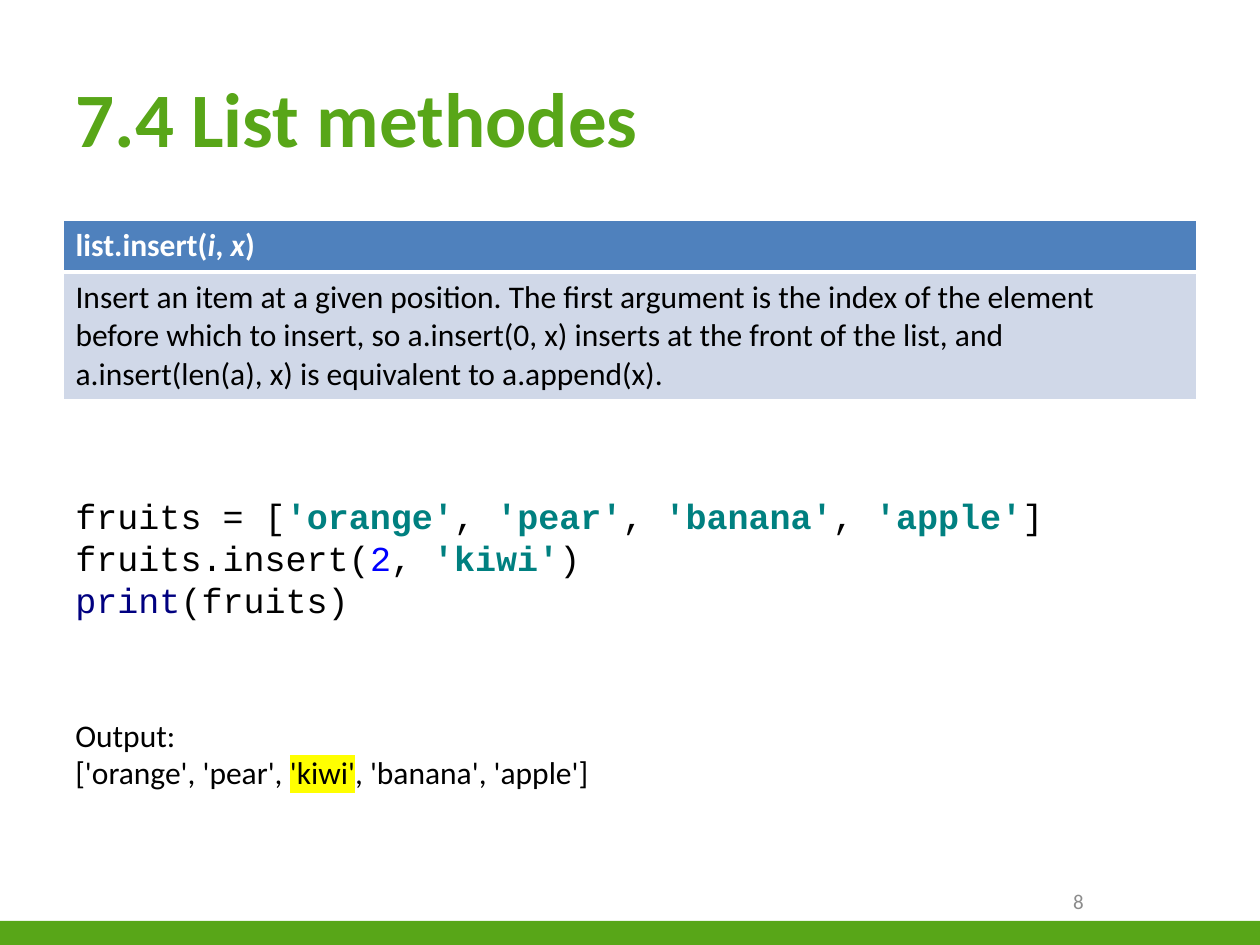
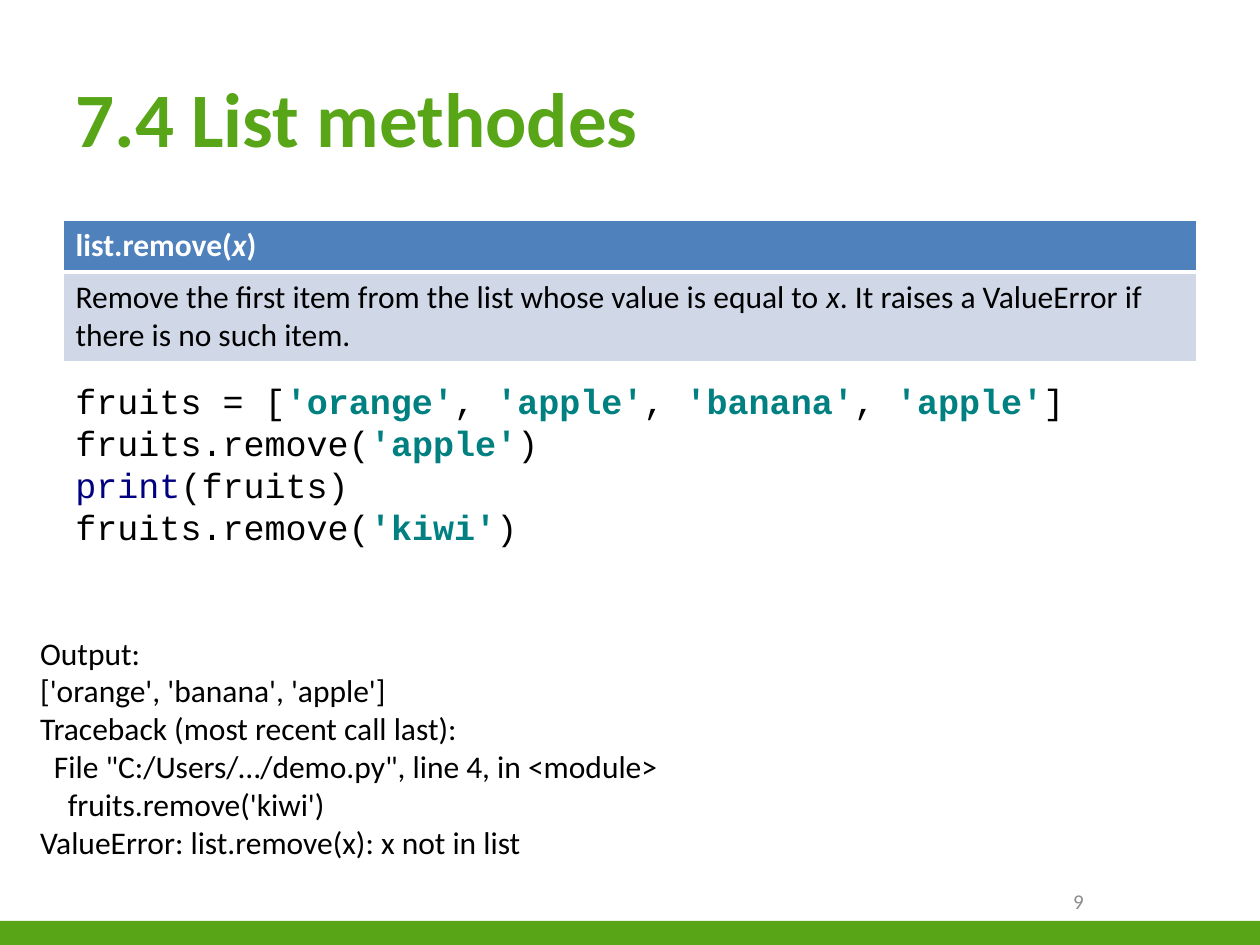
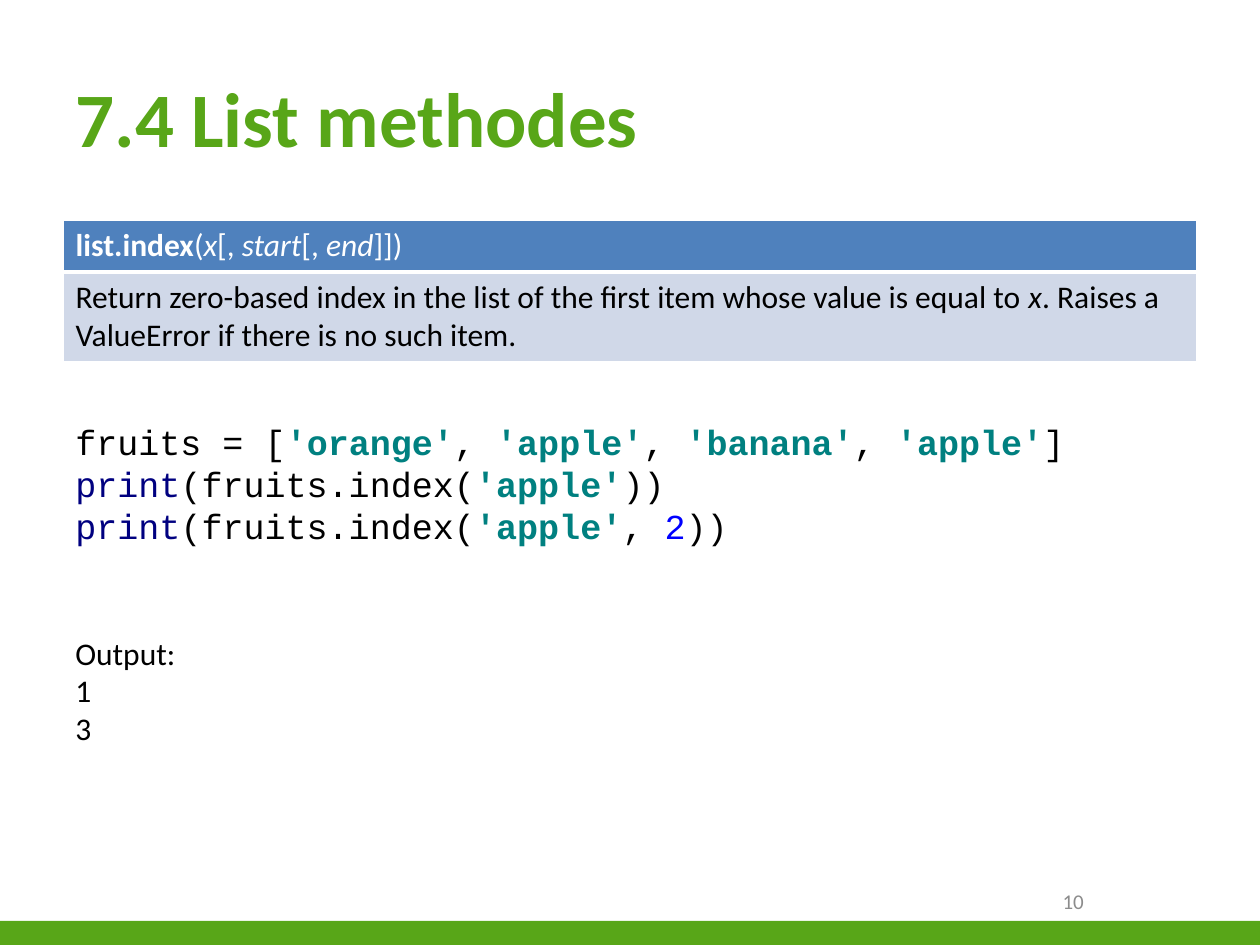
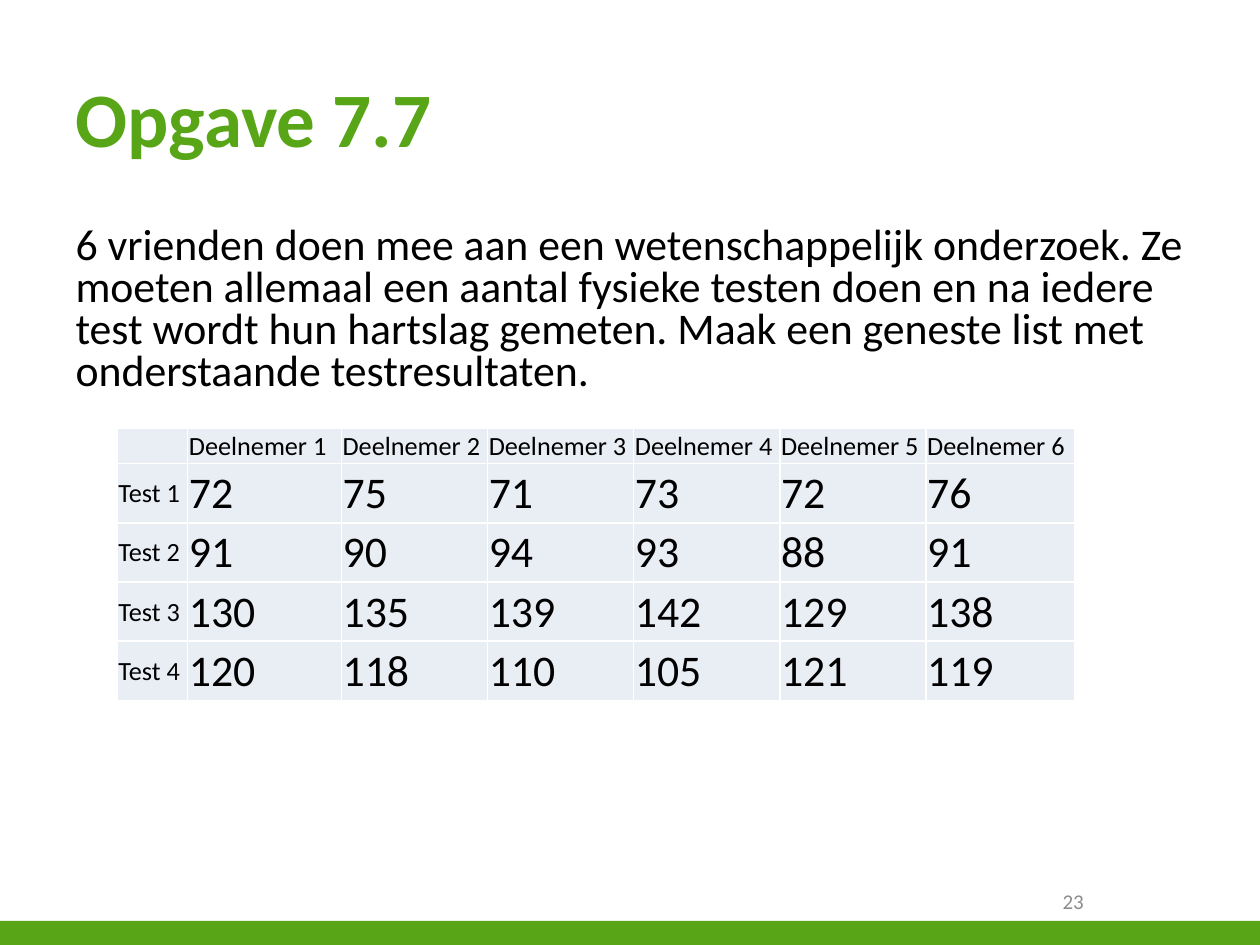
from lxml import etree
from pptx import Presentation
from pptx.dml.color import RGBColor
from pptx.enum.shapes import MSO_SHAPE
from pptx.enum.text import MSO_ANCHOR, MSO_AUTO_SIZE, PP_ALIGN
from pptx.oxml.ns import qn
from pptx.util import Pt

PX = 9144  # 100 px to the inch
BLACK, WHITE, GREEN, GREY = "000000", "FFFFFF", "58A618", "8C8C8C"
HEADING_FILL, DESCRIPTION_FILL, RESULT_FILL = "4F81BD", "D0D8E8", "E9EDF4"
STRING, NUMBER, BUILTIN, HIGHLIGHT = "008080", "0000FF", "000080", "FFFF00"
color = RGBColor.from_string


def write_runs(paragraph, marked, size, hex_color=BLACK, font="Calibri", bold=False):
    """Add text to a paragraph and return the runs set between bars."""
    emphasised = []
    for line_no, line in enumerate(marked.split("\n")):
        if line_no:
            paragraph.add_line_break()
        for i, piece in enumerate(line.split("|")):
            if not piece:
                continue
            run = paragraph.add_run()
            run.text = piece
            run.font.size = Pt(size)
            run.font.name = font
            run.font.bold = bold
            run.font.color.rgb = color(hex_color)
            if i % 2:
                emphasised.append(run)
    return emphasised


def style_cell(cell, fill, bottom=1):
    """Give a cell white borders and a solid fill."""
    tc_pr = cell._tc.get_or_add_tcPr()
    for side, width in (("L", 1), ("R", 1), ("T", 1), ("B", bottom)):
        border = etree.SubElement(tc_pr, qn(f"a:ln{side}"), w=str(Pt(width)))
        solid = etree.SubElement(border, qn("a:solidFill"))
        etree.SubElement(solid, qn("a:srgbClr"), val=WHITE)
    cell.fill.solid()
    cell.fill.fore_color.rgb = color(fill)


prs = Presentation()
prs.slide_width, prs.slide_height = 1000 * PX, 750 * PX
title_only, title_and_content = prs.slide_layouts[5], prs.slide_layouts[1]

# Content of the list method slides; indents are in px per output line
methods = [
    dict(
        name="list.insert", arguments="(|i|, |x|)", bold_arguments=True,
        description="Insert an item at a given position. The first argument is the index of "
        "the element before which to insert, so a.insert(0, x) inserts at the front of "
        "the list, and a.insert(len(a), x) is equivalent to a.append(x).",
        description_height=100,
        code="fruits = [|'orange'|, |'pear'|, |'banana'|, |'apple'|]\n"
        "fruits.insert(|2|, |'kiwi'|)\n|print|(fruits)",
        code_box=(50, 387, 802, 111),
        output=[("Output:", 0), ("['orange', 'pear', |'kiwi'|, 'banana', 'apple']", 0)],
        output_box=(50, 563, 500, 71),
    ),
    dict(
        name="list.remove", arguments="(|x|)", bold_arguments=True,
        description="Remove the first item from the list whose value is equal to |x|. "
        "It raises a ValueError if there is no such item.",
        description_height=70,
        code="fruits = [|'orange'|, |'apple'|, |'banana'|, |'apple'|]\n"
        "fruits.remove(|'apple'|)\n|print|(fruits)\nfruits.remove(|'kiwi'|)",
        code_box=(50, 295, 869, 145),
        output=[
            ("Output:", 0),
            ("['orange', 'banana', 'apple']", 0),
            ("Traceback (most recent call last):", 0),
            ('File "C:/Users/…/demo.py", line 4, in <module>', 11),
            ("fruits.remove('kiwi')", 22),
            ("ValueError: list.remove(x): x not in list", 0),
        ],
        output_box=(22, 498, 959, 192),
    ),
    dict(
        name="list.index", arguments="(|x|[, |start|[, |end|]])", bold_arguments=False,
        description="Return zero-based index in the list of the first item whose value is "
        "equal to |x|. Raises a ValueError if there is no such item.",
        description_height=70,
        code="fruits = [|'orange'|, |'apple'|, |'banana'|, |'apple'|]\n"
        "|print|(fruits.index(|'apple'|))\n|print|(fruits.index(|'apple'|, |2|))",
        code_box=(50, 328, 900, 111),
        output=[("Output:", 0), ("1", 0), ("3", 0)],
        output_box=(50, 498, 844, 101),
    ),
]

for method in methods:
    slide = prs.slides.add_slide(title_only)

    # Signature and description
    heading_height, description_height = 41, method["description_height"]
    reference = slide.shapes.add_table(
        2, 1, 50 * PX, 175 * PX, 900 * PX, (heading_height + description_height) * PX
    ).table
    reference.rows[0].height = heading_height * PX
    reference.rows[1].height = description_height * PX
    heading, description = reference.cell(0, 0), reference.cell(1, 0)
    style_cell(heading, HEADING_FILL, bottom=3)
    style_cell(description, DESCRIPTION_FILL)
    signature = heading.text_frame.paragraphs[0]
    write_runs(signature, method["name"], 18, WHITE, bold=True)
    parameters = write_runs(
        signature, method["arguments"], 18, WHITE, bold=method["bold_arguments"]
    )
    parameters += write_runs(description.text_frame.paragraphs[0], method["description"], 18)
    for run in parameters:
        run.font.italic = True

    # Code with coloured tokens
    code = slide.shapes.add_shape(MSO_SHAPE.RECTANGLE, *(n * PX for n in method["code_box"]))
    code.shadow.inherit = False
    code.fill.solid()
    code.fill.fore_color.rgb = color(WHITE)
    code.line.fill.background()
    code.text_frame.word_wrap = True
    code.text_frame.auto_size = MSO_AUTO_SIZE.SHAPE_TO_FIT_TEXT
    code.text_frame.vertical_anchor = MSO_ANCHOR.MIDDLE
    listing = code.text_frame.paragraphs[0]
    listing.alignment = PP_ALIGN.LEFT
    for token in write_runs(listing, method["code"], 20, font="Courier New"):
        if token.text.startswith("'"):
            token.font.color.rgb = color(STRING)
            token.font.bold = True
        else:
            token.font.color.rgb = color(NUMBER if token.text.isdigit() else BUILTIN)

    # Program output
    output = slide.shapes.add_textbox(*(n * PX for n in method["output_box"])).text_frame
    output.word_wrap = True
    output.auto_size = MSO_AUTO_SIZE.SHAPE_TO_FIT_TEXT
    for i, (line, indent) in enumerate(method["output"]):
        paragraph = output.add_paragraph() if i else output.paragraphs[0]
        if indent:
            paragraph._p.get_or_add_pPr().set("marL", str(indent * PX))
        for run in write_runs(paragraph, line, 18):
            marker = etree.Element(qn("a:highlight"))
            etree.SubElement(marker, qn("a:srgbClr"), val=HIGHLIGHT)
            run.font._element.find(qn("a:latin")).addprevious(marker)

# Exercise text
slide = prs.slides.add_slide(title_and_content)
exercise = slide.placeholders[1]
exercise.left, exercise.top, exercise.width, exercise.height = (
    n * PX for n in (50, 175, 924, 470)
)
exercise.text_frame.auto_size = MSO_AUTO_SIZE.NONE
assignment = exercise.text_frame.paragraphs[0]
write_runs(
    assignment,
    "6 vrienden doen mee aan een wetenschappelijk onderzoek. Ze moeten allemaal een "
    "aantal fysieke testen doen en na iedere test wordt hun hartslag gemeten. Maak een "
    "geneste list met onderstaande testresultaten.",
    25,
)
assignment.line_spacing = 0.8
assignment_pr = assignment._p.get_or_add_pPr()
assignment_pr.set("marL", "0")
assignment_pr.set("indent", "0")
etree.SubElement(assignment_pr, qn("a:buNone"))

# Heart rates per test and participant
heart_rates = [
    [72, 75, 71, 73, 72, 76],
    [91, 90, 94, 93, 88, 91],
    [130, 135, 139, 142, 129, 138],
    [120, 118, 110, 105, 121, 119],
]
grid = [[""] + [f"Deelnemer {n}" for n in range(1, 7)]]
grid += [[f"Test {n}", *rates] for n, rates in enumerate(heart_rates, 1)]
column_widths = [56, 122, 116, 116, 116, 116, 118]
row_heights = [28] + [47] * len(heart_rates)
results = slide.shapes.add_table(
    len(grid), len(column_widths), 93 * PX, 340 * PX,
    sum(column_widths) * PX, sum(row_heights) * PX,
).table
results.first_row = results.horz_banding = False
for column, width in zip(results.columns, column_widths):
    column.width = width * PX
for r, values in enumerate(grid):
    results.rows[r].height = row_heights[r] * PX
    for c, value in enumerate(values):
        cell = results.cell(r, c)
        style_cell(cell, RESULT_FILL)
        cell.vertical_anchor = MSO_ANCHOR.MIDDLE
        cell.margin_left = cell.margin_top = cell.margin_right = PX
        cell.margin_bottom = 0
        write_runs(cell.text_frame.paragraphs[0], str(value), 25 if r and c else 15)
corner = results.cell(0, 0).text_frame.paragraphs[0]
etree.SubElement(corner._p, qn("a:endParaRPr"), sz="1500")

# Title and page number on every slide
titles = ["7.4 List methodes"] * len(methods) + ["Opgave 7.7"]
for slide, heading_text, number in zip(prs.slides, titles, (8, 9, 10, 23)):
    title = slide.shapes.title
    title.left, title.top, title.width, title.height = (n * PX for n in (50, 30, 900, 125))
    title.text_frame.vertical_anchor = MSO_ANCHOR.MIDDLE
    title_line = title.text_frame.paragraphs[0]
    title_line.alignment = PP_ALIGN.LEFT
    write_runs(title_line, heading_text, 44, GREEN, bold=True)

    page = slide.shapes.add_textbox(*(n * PX for n in (717, 695, 153, 40))).text_frame
    page.word_wrap = True
    page.vertical_anchor = MSO_ANCHOR.MIDDLE
    page.paragraphs[0].alignment = PP_ALIGN.RIGHT
    write_runs(page.paragraphs[0], str(number), 12, GREY)

# Green band, moved to the master so that all slides share it
band = slide.shapes.add_shape(MSO_SHAPE.RECTANGLE, 0, 731 * PX, 1000 * PX, 20 * PX)
band.shadow.inherit = False
band.fill.solid()
band.fill.fore_color.rgb = color(GREEN)
band.line.fill.background()
prs.slide_master.shapes.element.insert(2, band.element)

prs.save("out.pptx")
